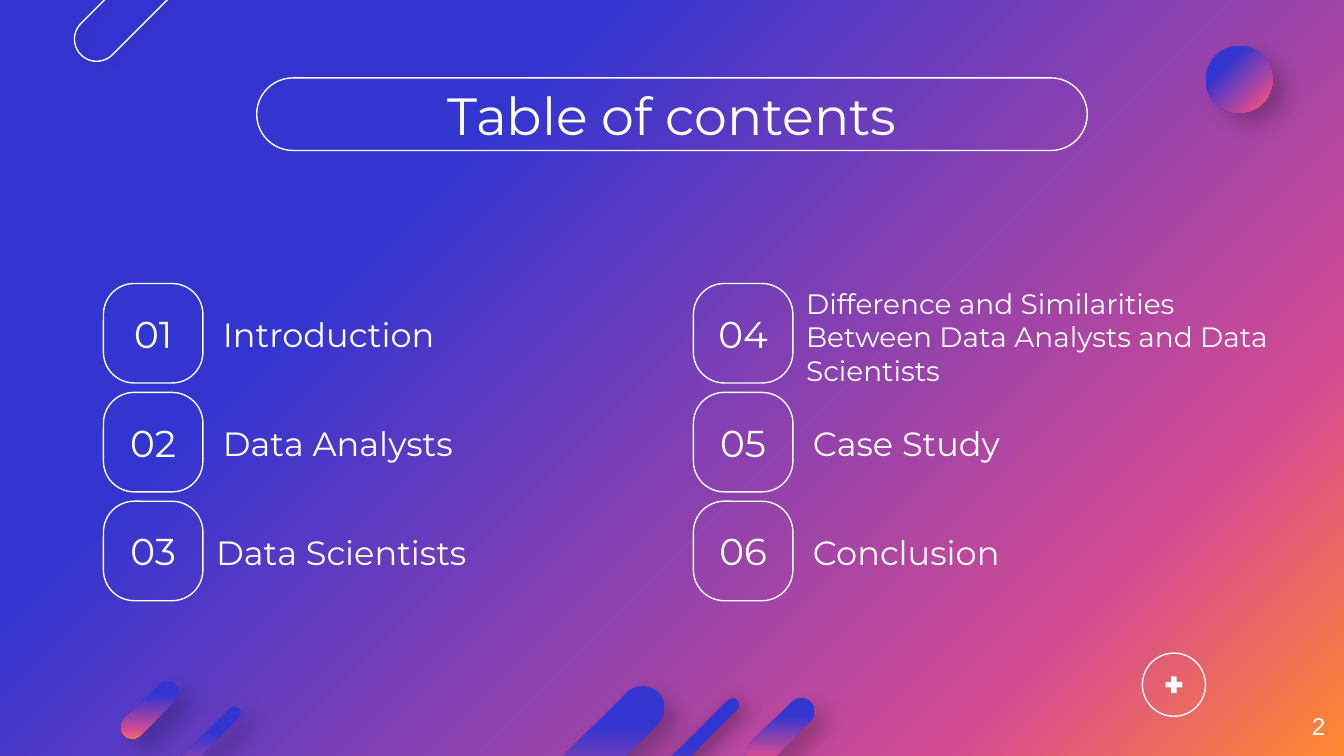
"""Build a table of contents slide with six numbered sections."""
from lxml import etree
from pptx import Presentation
from pptx.dml.color import RGBColor
from pptx.enum.shapes import MSO_SHAPE
from pptx.enum.text import MSO_ANCHOR, PP_ALIGN
from pptx.oxml.ns import qn
from pptx.util import Inches, Pt

ROUND, OVAL, PLUS = MSO_SHAPE.ROUNDED_RECTANGLE, MSO_SHAPE.OVAL, MSO_SHAPE.MATH_PLUS
LEFT, CENTER, RIGHT = PP_ALIGN.LEFT, PP_ALIGN.CENTER, PP_ALIGN.RIGHT
TOP, MIDDLE = MSO_ANCHOR.TOP, MSO_ANCHOR.MIDDLE
COLORS = {"white": "FFFFFF", "shadow": "000000", "blue": "3335D1",
          "pink": "D54B93", "orange": "FF882F"}
STOPS = [(0, "blue"), (29, "blue"), (81, "pink"), (100, "orange")]
WHITE = RGBColor.from_string(COLORS["white"])

prs = Presentation()
prs.slide_width, prs.slide_height = Inches(10), Inches(10 * 9 / 16)
s = prs.slides.add_slide(prs.slide_layouts[6])


def set_gradient(fill, root):
    fill.gradient()
    fill.gradient_angle = 315
    stops = root.find(".//" + qn("a:gsLst"))
    for stop in list(stops):
        stops.remove(stop)
    for pos, color in STOPS:
        gs = etree.SubElement(stops, qn("a:gs"), pos=str(pos * 1000))
        etree.SubElement(gs, qn("a:srgbClr"), val=COLORS[color])


def add_text(text, x, y, w, h, size, align=LEFT, inset=0.1, font="Montserrat", anchor=MIDDLE):
    tf = s.shapes.add_textbox(Inches(x), Inches(y), Inches(w), Inches(h)).text_frame
    frame = {"word_wrap": True, "vertical_anchor": anchor,
             "margin_left": Inches(inset), "margin_right": Inches(inset),
             "margin_top": Inches(0.1), "margin_bottom": Inches(0.1)}
    for name, value in frame.items():
        setattr(tf, name, value)
    p = tf.paragraphs[0]
    p.alignment = align
    r = p.add_run()
    r.text = text
    for name, value in {"name": font, "size": Pt(size)}.items():
        setattr(r.font, name, value)
    r.font.color.rgb = WHITE


set_gradient(s.background.fill, s.element)

soft, strong = (22, 9), (40, 3.8)
shapes = [
    (ROUND, 4.22, 4.94, 0.33, 1.45, 45, 0.5, "gradient", soft),
    (OVAL, 8.5, 4.86, 0.47, 0.47, 0, None, "outline", None),
    (PLUS, 8.65, 5.01, 0.17, 0.17, 0, 0.235, "solid", None),
    (ROUND, 4.81, 4.95, 0.1, 1.77, 45, 0.5, "gradient", strong),
    (ROUND, 0.95, -0.83, 0.33, 1.45, 45, 0.5, "outline", strong),
    (ROUND, 1.03, 5.01, 0.17, 0.54, 45, 0.5, "gradient", soft),
    (ROUND, 1.39, 5.13, 0.1, 0.96, 45, 0.5, "gradient", soft),
    (ROUND, 5.71, 5.13, 0.2, 0.63, 45, 0.5, "gradient", soft),
    (OVAL, 8.97, 0.34, 0.5, 0.5, 0, None, "gradient", soft),
    (ROUND, 1.91, 0.58, 6.18, 0.54, 0, 0.5, "outline", None),
]
box_lefts, box_top, box_size, row_step = (0.77, 5.16), 2.11, 0.74, 0.81
shapes += [(ROUND, x, box_top + row * row_step, box_size, box_size, 0, 0.31, "outline", None)
           for x in box_lefts for row in range(3)]

for kind, x, y, w, h, angle, adj, style, shadow in shapes:
    sp = s.shapes.add_shape(kind, Inches(x), Inches(y), Inches(w), Inches(h))
    sp.rotation = angle
    sp.shadow.inherit = False
    if adj is not None:
        sp.adjustments[0] = adj
    if style == "outline":
        sp.fill.background()
        sp.line.color.rgb = WHITE
        sp.line.width = Pt(0.75)
    else:
        sp.line.fill.background()
        if style == "solid":
            sp.fill.solid()
            sp.fill.fore_color.rgb = WHITE
        else:
            set_gradient(sp.fill, sp.element)
    if shadow:
        alpha, dist = shadow
        effects = sp.element.spPr.find(qn("a:effectLst"))
        outer = etree.SubElement(effects, qn("a:outerShdw"), blurRad=str(Pt(11.2)),
                                 dist=str(Pt(dist)), dir=str(40 * 60000),
                                 algn="bl", rotWithShape="0")
        color = etree.SubElement(outer, qn("a:srgbClr"), val=COLORS["shadow"])
        etree.SubElement(color, qn("a:alpha"), val=str(alpha * 1000))

add_text("Table of contents", 0.78, 0.6, 8.44, 0.5, 28, CENTER)

sections = [
    ("Introduction", 1.56, 2.36, 3.28, 0.25, 18),
    ("Data Analysts", 1.56, 3.17, 3.28, 0.25, 18),
    ("Data Scientists", 1.51, 3.97, 3.28, 0.27, 18),
    ("Difference and Similarities Between Data Analysts and Data Scientists",
     5.9, 2.16, 3.93, 0.69, 15),
    ("Case Study", 5.95, 3.17, 3.28, 0.25, 18),
    ("Conclusion", 5.95, 3.98, 3.28, 0.25, 18),
]
for i, (label, x, y, w, h, size) in enumerate(sections):
    col, row = divmod(i, 3)
    add_text(f"{i + 1:02d}", box_lefts[col] + 0.05, box_top + row * row_step + 0.05,
             0.64, 0.64, 20, CENTER, inset=0)
    add_text(label, x, y, w, h, size)

add_text("2", 9.36, 5.19, 0.6, 0.43, 13, RIGHT, font="Arial", anchor=TOP)

prs.save("out.pptx")
